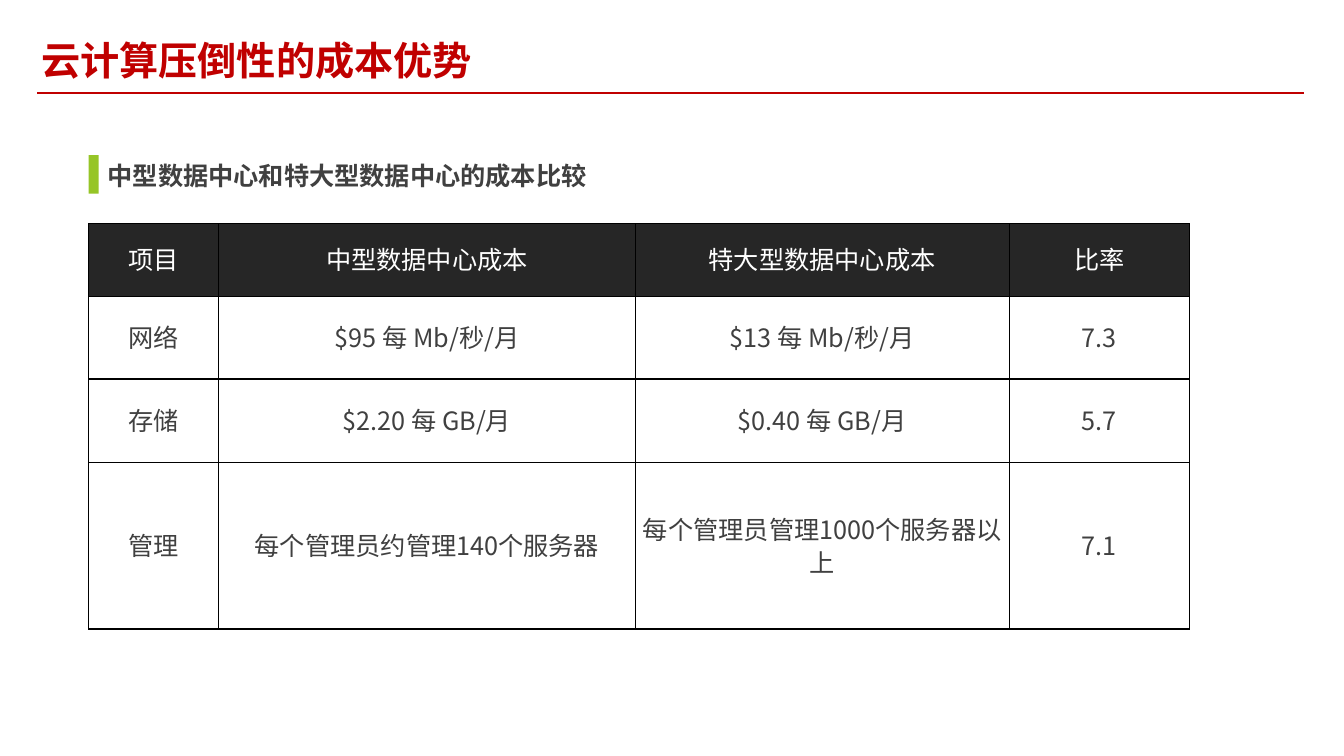
from dataclasses import dataclass

from lxml import etree
from pptx import Presentation, util as u
from pptx.dml.color import RGBColor
from pptx.enum import shapes, text
from pptx.oxml.ns import qn

PX = 9144  # EMU in one px, 100 px to the inch
FONT = "Noto Sans CJK SC"
COLORS = {"title": "C00000", "body": "404040", "header": "262626",
          "accent": "96C527", "white": "FFFFFF", "border": "000000"}
COLUMNS = [129, 413, 371, 179]
ROWS = [72, 82, 83, 165]
COSTS = [
    ["项目", "中型数据中心成本", "特大型数据中心成本", "比率"],
    ["网络", "$95 每 Mb/秒/月", "$13 每 Mb/秒/月", "7.3"],
    ["存储", "$2.20 每 GB/月", "$0.40 每 GB/月", "5.7"],
    ["管理", "每个管理员约管理140个服务器", "每个管理员管理1000个服务器以上", "7.1"],
]


@dataclass
class Block:
    left: int
    top: int
    width: int
    height: int
    fill: str = ""
    words: str = ""
    size: int = 18
    color: str = "body"
    wrap: bool = True


BLOCKS = [
    Block(31, 31, 996, 57, "white", "云计算压倒性的成本优势", 28, "title"),
    Block(97, 154, 500, 40, "", "中型数据中心和特大型数据中心的成本比较", wrap=False),
    Block(88, 154, 10, 38, "accent"),
]


def rgb(name: str) -> RGBColor:
    return RGBColor.from_string(COLORS[name])


def px(*lengths: int) -> list[u.Emu]:
    return [u.Emu(length * PX) for length in lengths]


def set_all(target, values: dict) -> None:
    for name, value in values.items():
        setattr(target, name, value)


def write(para, words: str, size: int, color: str, bold: bool) -> None:
    span = para.add_run()
    span.text = words
    set_all(span.font, {"name": FONT, "size": u.Pt(size), "bold": bold})
    span.font.color.rgb = rgb(color)
    east_asian = etree.Element(qn("a:ea"), typeface=FONT)
    span.font._element.find(qn("a:latin")).addnext(east_asian)


def add_block(page, block: Block) -> None:
    place = px(block.left, block.top, block.width, block.height)
    if block.fill:
        box = page.shapes.add_shape(shapes.MSO_SHAPE.RECTANGLE, *place)
        box.shadow.inherit = False
        box.fill.solid()
        box.fill.fore_color.rgb = rgb(block.fill)
        box.line.fill.background()
    else:
        box = page.shapes.add_textbox(*place)
    if block.words:
        frame = box.text_frame
        set_all(frame, {"word_wrap": block.wrap,
                        "vertical_anchor": text.MSO_ANCHOR.MIDDLE})
        para = frame.paragraphs[0]
        para.alignment = text.PP_ALIGN.LEFT
        write(para, block.words, block.size, block.color, True)


def add_title_rule(page) -> None:
    rule = page.shapes.add_connector(
        shapes.MSO_CONNECTOR.STRAIGHT, *px(37, 92, 1293, 92))
    rule.line.width = u.Pt(1.5)
    rule.line.color.rgb = rgb("title")
    etree.SubElement(rule._element.spPr, qn("a:effectLst"))


def add_borders(cell) -> None:
    """Draw the four cell edges; call before setting the fill."""
    properties = cell._tc.get_or_add_tcPr()
    for side in "LRTB":
        edge = etree.SubElement(properties, qn(f"a:ln{side}"), w=str(u.Pt(1)))
        paint = etree.SubElement(edge, qn("a:solidFill"))
        etree.SubElement(paint, qn("a:srgbClr"), val=COLORS["border"])


def fill_cell(cell, words: str, is_header: bool) -> None:
    margin = 7 * PX
    set_all(cell, {"margin_left": margin, "margin_right": margin,
                   "margin_top": 0, "margin_bottom": 0,
                   "vertical_anchor": text.MSO_ANCHOR.MIDDLE})
    add_borders(cell)
    if is_header:
        cell.fill.solid()
        cell.fill.fore_color.rgb = rgb("header")
    else:
        cell.fill.background()
    para = cell.text_frame.paragraphs[0]
    set_all(para, {"alignment": text.PP_ALIGN.CENTER, "line_spacing": 0.9})
    write(para, words, 18, "white" if is_header else "body", False)


def add_cost_table(page) -> None:
    table = page.shapes.add_table(
        len(ROWS), len(COLUMNS), *px(88, 222, sum(COLUMNS), sum(ROWS))).table
    table.horz_banding = False
    for column, width in zip(table.columns, px(*COLUMNS)):
        column.width = width
    for row, height in zip(table.rows, px(*ROWS)):
        row.height = height
    for r, line in enumerate(COSTS):
        for c, words in enumerate(line):
            fill_cell(table.cell(r, c), words, r == 0)


def main() -> None:
    deck = Presentation()
    deck.slide_width, deck.slide_height = px(1333, 750)
    page = deck.slides.add_slide(deck.slide_layouts[6])
    title, *heading = BLOCKS
    add_title_rule(page)
    add_block(page, title)
    add_cost_table(page)
    for block in heading:
        add_block(page, block)
    deck.save("out.pptx")


if __name__ == "__main__":
    main()
